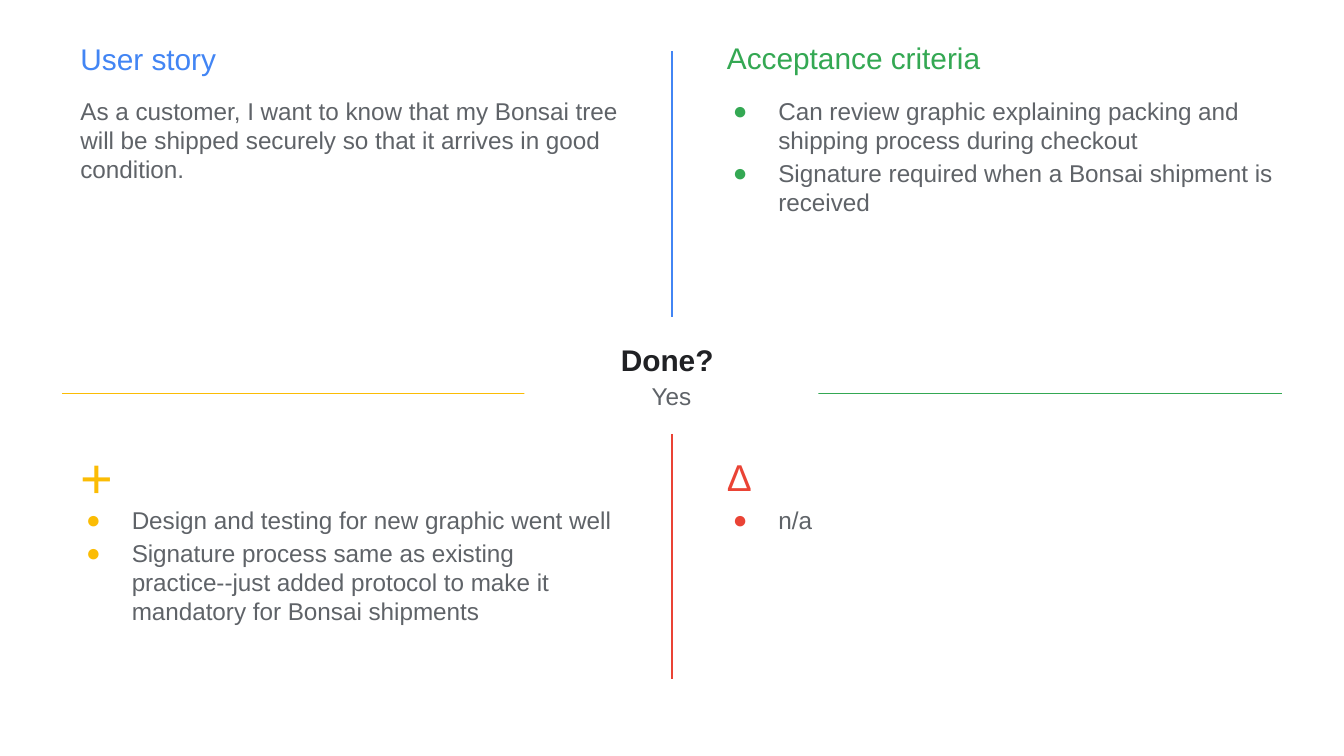
from dataclasses import dataclass

from lxml.etree import SubElement
from pptx import Presentation
from pptx.dml.color import RGBColor
from pptx.enum.shapes import MSO_CONNECTOR as Connector, MSO_SHAPE as Preset
from pptx.enum.text import MSO_ANCHOR as Anchor, MSO_AUTO_SIZE as AutoSize, PP_ALIGN as Align
from pptx.oxml.ns import qn
from pptx.util import Cm, Pt


@dataclass(frozen=True)
class Theme:
    """Colours and type sizes of the slide."""
    blue: str = "4285F4"
    green: str = "34A853"
    yellow: str = "FBBC04"
    red: str = "EA4335"
    white: str = "FFFFFF"
    dark: str = "202124"
    grey: str = "5F6368"
    font: str = "Arial"
    heading: int = 16
    body: int = 13
    delta: int = 20
    plus: int = 30
    rule: float = 0.75


THEME = Theme()
INSET = 0.25
LEFT_COLUMN, RIGHT_COLUMN = (1.27, 10.64), (13.49, 11.56)
TOP_HEADING, TOP_BODY = (0.51, 1.02), (1.57, 4.01)
BOTTOM_HEADING, BOTTOM_BODY = (8.76, 0.48), (9.3, 4.01)


def place(shape, column, row):
    """Move a shape to the cell where a column and a row meet."""
    (left, width), (top, height) = column, row
    shape.left, shape.top, shape.width, shape.height = map(Cm, (left, top, width, height))


def prepare_frame(shape, inset=INSET, anchor=Anchor.TOP):
    """Set wrapping, margins and anchor, and return the text frame."""
    frame = shape.text_frame
    frame.word_wrap = True
    frame.auto_size = AutoSize.NONE
    frame.vertical_anchor = anchor
    frame.margin_left = frame.margin_right = Cm(inset)
    frame.margin_top = frame.margin_bottom = Cm(inset)
    return frame


def style_font(font, size, color, bold=False):
    """Apply the theme typeface with a size, colour and weight."""
    font.name, font.size, font.bold = THEME.font, Pt(size), bold
    font.color.rgb = RGBColor.from_string(color)


def set_bullet(paragraph, color):
    """Give a paragraph a coloured round bullet, or none without a colour."""
    properties = paragraph._p.get_or_add_pPr()
    properties.set("marL", str(Cm(0.97) if color else 0))
    properties.set("indent", str(Cm(-0.86) if color else 0))
    if not color:
        SubElement(properties, qn("a:buNone"))
        return
    bullet_color = SubElement(properties, qn("a:buClr"))
    SubElement(bullet_color, qn("a:srgbClr"), val=color)
    SubElement(properties, qn("a:buFont"), typeface=THEME.font)
    SubElement(properties, qn("a:buChar"), char="●")


def add_heading(shape, column, row, text, size, color, anchor=Anchor.TOP):
    """Fill a quadrant heading."""
    place(shape, column, row)
    frame = prepare_frame(shape, anchor=anchor)
    frame.text = text
    paragraph = frame.paragraphs[0]
    paragraph.alignment = Align.LEFT
    paragraph.space_before, paragraph.space_after = Pt(0), Pt(10)
    style_font(paragraph.runs[0].font, size, color)


def add_body(shape, column, row, items, bullet_color=None):
    """Fill a quadrant body with plain or bulleted paragraphs."""
    place(shape, column, row)
    frame = prepare_frame(shape)
    frame.text = "\n".join(items)
    for index, paragraph in enumerate(frame.paragraphs):
        paragraph.space_before = Pt(2 if index else 0)
        paragraph.space_after = Pt(0)
        set_bullet(paragraph, bullet_color)
        style_font(paragraph.runs[0].font, THEME.body, THEME.grey)


def add_rule(slide, start, end, color):
    """Draw a thin straight divider."""
    line = slide.shapes.add_connector(Connector.STRAIGHT, *map(Cm, start + end))
    line.line.color.rgb = RGBColor.from_string(color)
    line.line.width = Pt(THEME.rule)
    SubElement(line._element.spPr, qn("a:effectLst"))


def add_verdict(slide, column, row, question, answer):
    """Place the central question and its answer on a white panel."""
    panel = slide.shapes.add_shape(Preset.RECTANGLE, 0, 0, 0, 0)
    place(panel, column, row)
    panel.shadow.inherit = False
    panel.fill.solid()
    panel.fill.fore_color.rgb = RGBColor.from_string(THEME.white)
    panel.line.fill.background()
    frame = prepare_frame(panel, inset=0)
    frame.text = f"{question} \v{answer}"
    paragraph = frame.paragraphs[0]
    paragraph.alignment = Align.CENTER
    paragraph.line_spacing = 1.15
    question_run, answer_run = paragraph.runs
    style_font(question_run.font, THEME.heading, THEME.dark, bold=True)
    style_font(answer_run.font, THEME.body, THEME.grey)


def build_story_slide(presentation):
    """Build the four quadrants, their dividers and the verdict."""
    slide = presentation.slides.add_slide(presentation.slide_layouts.get_by_name("Comparison"))
    for shape in list(slide.placeholders):
        if shape.placeholder_format.idx > 4:
            shape._element.getparent().remove(shape._element)
    title, *bodies = slide.placeholders

    headings = [
        (LEFT_COLUMN, TOP_HEADING, "User story", THEME.heading, THEME.blue),
        (RIGHT_COLUMN, TOP_HEADING, "Acceptance criteria", THEME.heading, THEME.green),
        (LEFT_COLUMN, BOTTOM_HEADING, "+", THEME.plus, THEME.yellow, Anchor.MIDDLE),
        (RIGHT_COLUMN, BOTTOM_HEADING, "Δ", THEME.delta, THEME.red, Anchor.MIDDLE),
    ]
    for index, heading in enumerate(headings):
        shape = slide.shapes.add_textbox(0, 0, 0, 0) if index else title
        add_heading(shape, *heading)

    contents = [
        (LEFT_COLUMN, TOP_BODY, [
            "As a customer, I want to know that my Bonsai tree will be shipped "
            "securely so that it arrives in good condition."]),
        (RIGHT_COLUMN, TOP_BODY, [
            "Can review graphic explaining packing and shipping process during checkout",
            "Signature required when a Bonsai shipment is received"], THEME.green),
        (LEFT_COLUMN, BOTTOM_BODY, [
            "Design and testing for new graphic went well",
            "Signature process same as existing practice--just added protocol "
            "to make it mandatory for Bonsai shipments"], THEME.yellow),
        (RIGHT_COLUMN, BOTTOM_BODY, ["n/a"], THEME.red),
    ]
    for body, content in zip(bodies, contents):
        add_body(body, *content)

    middle_x, middle_y = 12.7, 7.44
    add_rule(slide, (1.17, middle_y), (10.49, middle_y), THEME.yellow)
    add_rule(slide, (14.91, middle_y), (24.23, middle_y), THEME.green)
    add_rule(slide, (middle_x, 0.97), (middle_x, 5.99), THEME.blue)
    add_rule(slide, (middle_x, 8.2), (middle_x, 12.83), THEME.red)
    add_verdict(slide, (9.91, 5.56), (6.35, 1.85), "Done?", "Yes")


def main():
    """Create and save the presentation."""
    presentation = Presentation()
    presentation.slide_width, presentation.slide_height = Cm(25.4), Cm(14.29)
    build_story_slide(presentation)
    presentation.save("out.pptx")


main()
